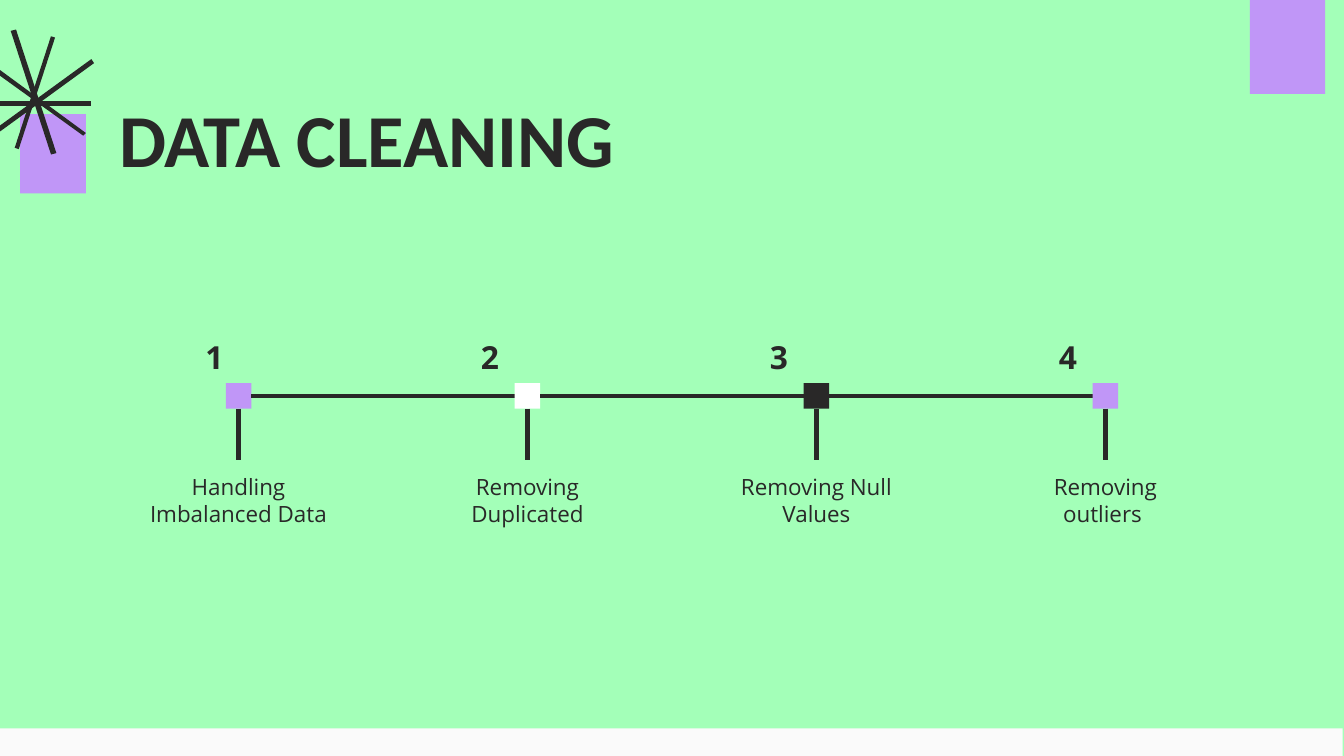
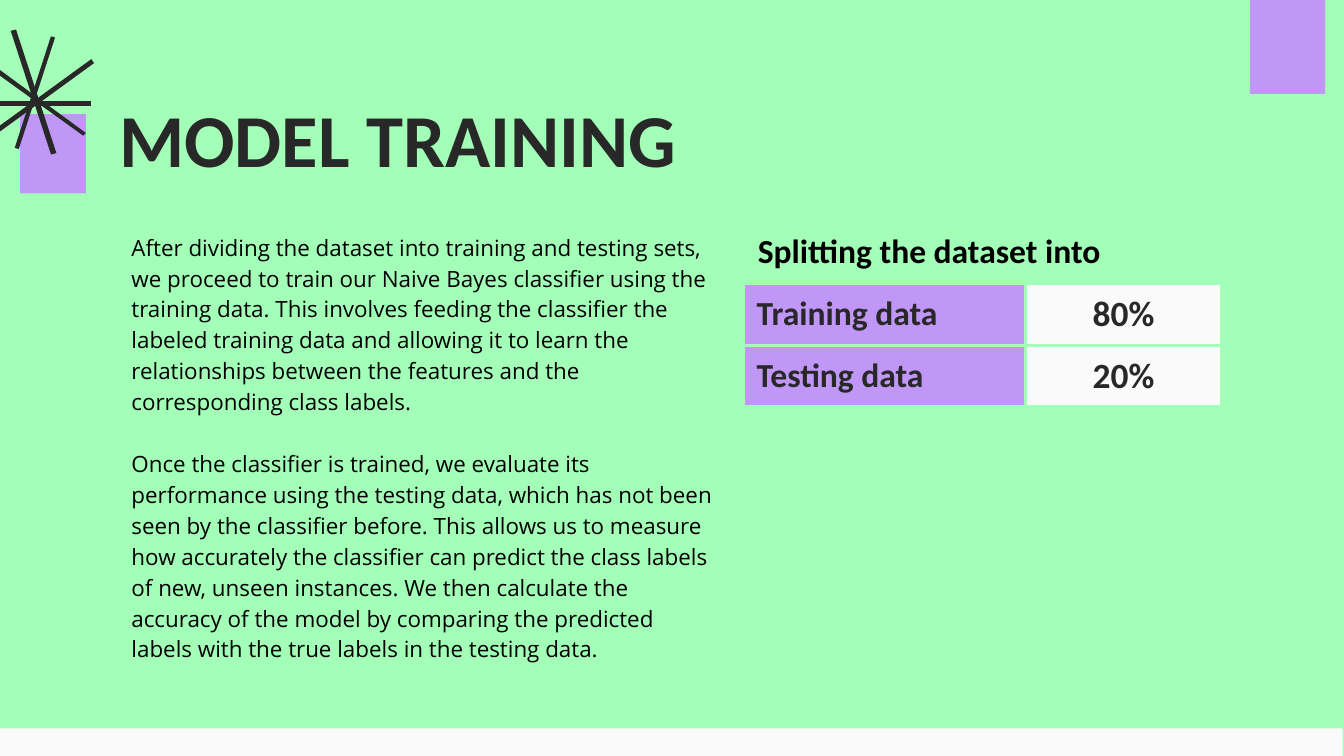
"""Build two slides: the data cleaning timeline and the model training split."""
from pptx import Presentation
from pptx.dml.color import RGBColor
from pptx.enum.shapes import MSO_CONNECTOR, MSO_SHAPE
from pptx.enum.text import MSO_ANCHOR, PP_ALIGN
from pptx.oxml.ns import qn
from pptx.util import Inches, Pt
from lxml.etree import SubElement

GREEN = RGBColor(0xA3, 0xFF, 0xB8)
PURPLE = RGBColor(0xC0, 0x96, 0xF7)
INK = RGBColor(0x29, 0x28, 0x28)
PAPER = RGBColor(0xFA, 0xFA, 0xFA)
WHITE = RGBColor(0xFF, 0xFF, 0xFF)
BLACK = RGBColor(0, 0, 0)
HEADING, BODY = "Calibri", "Open Sans"

WIDTH = 10
HEIGHT = WIDTH * 9 / 16
BAND = (-0.01, 5.42, WIDTH, 0.21)
BLOCKS = [(9.3, 0, 0.56, 0.7), (0.15, 0.85, 0.49, 0.59)]
STAR_UNIT = Inches(0.01)
STAR_RAYS = [
    [(38, 27), (11, 110), (14, 111), (41, 28)],
    [(-11, 44), (-13, 47), (62, 101), (64, 99)],
    [(68, 44), (-20, 108), (-18, 111), (70, 47)],
    [(12, 22), (8, 23), (38, 115), (42, 114)],
    [(-23, 75), (-23, 79), (68, 79), (68, 75)],
]

CLEANING_TITLE = "DATA CLEANING"
STEPS = [
    ("Handling Imbalanced Data", PURPLE),
    ("Removing Duplicated", WHITE),
    ("Removing Null Values", INK),
    ("Removing outliers ", PURPLE),
]
MARKER, STEP_LEFT, STEP_PITCH, STEP_TOP = 0.19, 1.68, 2.15, 2.85
LABEL_WIDTH, LABEL_TOP = 1.57, 3.42

TRAINING_TITLE = "MODEL TRAINING"
EXPLANATION = [
    "After dividing the dataset into training and testing sets, we proceed to train our "
    "Naive Bayes classifier using the training data. This involves feeding the classifier "
    "the labeled training data and allowing it to learn the relationships between the "
    "features and the corresponding class labels.",
    "Once the classifier is trained, we evaluate its performance using the testing data, "
    "which has not been seen by the classifier before. This allows us to measure how "
    "accurately the classifier can predict the class labels of new, unseen instances. We "
    "then calculate the accuracy of the model by comparing the predicted labels with the "
    "true labels in the testing data.",
]
SPLIT_HEADING = "Splitting the dataset into"
SPLIT = [("Training data", "80%"), ("Testing data", "20%")]
SPLIT_COLUMNS = [
    (2.1, PURPLE, 18, PP_ALIGN.LEFT, 0.1),
    (1.46, PAPER, 19, PP_ALIGN.CENTER, 0),
]
SPLIT_ROW = 0.46


def paint(shape, color):
    shape.shadow.inherit = False
    shape.fill.solid()
    shape.fill.fore_color.rgb = color
    shape.line.fill.background()


def add_block(slide, box, color):
    block = slide.shapes.add_shape(MSO_SHAPE.RECTANGLE, *map(Inches, box))
    paint(block, color)


def add_rule(slide, *ends):
    rule = slide.shapes.add_connector(MSO_CONNECTOR.STRAIGHT, *map(Inches, ends))
    rule.line.color.rgb = INK
    rule.line.width = Pt(2.25)
    SubElement(rule._element.spPr, qn("a:effectLst"))


def style(paragraph, font, size, color, bold, align=PP_ALIGN.LEFT):
    paragraph.alignment = align
    for run in paragraph.runs:
        run.font.name = font
        run.font.size = Pt(size)
        run.font.bold = bold
        run.font.color.rgb = color


def add_text(slide, box, text, font, size, color=INK, bold=False, align=PP_ALIGN.LEFT):
    frame = slide.shapes.add_textbox(*map(Inches, box)).text_frame
    frame.word_wrap = True
    frame.margin_left = frame.margin_right = Inches(0.1)
    frame.margin_top = frame.margin_bottom = Inches(0.1)
    frame.text = text
    for paragraph in frame.paragraphs:
        style(paragraph, font, size, color, bold, align)
    return frame


def add_slide(deck, title):
    slide = deck.slides.add_slide(deck.slide_layouts[6])
    slide.background.fill.solid()
    slide.background.fill.fore_color.rgb = GREEN
    add_block(slide, BAND, PAPER)
    for box in BLOCKS:
        add_block(slide, box, PURPLE)
    for first, *others in STAR_RAYS:
        outline = slide.shapes.build_freeform(*first, scale=STAR_UNIT)
        outline.add_line_segments(others, close=True)
        paint(outline.convert_to_shape(), INK)
    add_text(slide, (0.79, 0.59, 8.43, 0.63), title, HEADING, 40, bold=True)
    return slide


def add_timeline(slide):
    axis = STEP_TOP + MARKER / 2
    for index, (label, color) in enumerate(STEPS):
        left = STEP_LEFT + index * STEP_PITCH
        center = left + MARKER / 2
        add_block(slide, (left, STEP_TOP, MARKER, MARKER), color)
        add_rule(slide, center, STEP_TOP + MARKER, center, LABEL_TOP)
        if index < len(STEPS) - 1:
            add_rule(slide, left + MARKER, axis, left + STEP_PITCH, axis)
        number_left = left - (0.35 if index else 0.25)
        add_text(slide, (number_left, 2.41, 0.35, 0.44), str(index + 1), BODY, 17, bold=True)
        label_box = (center - LABEL_WIDTH / 2, LABEL_TOP, LABEL_WIDTH, 0.67)
        add_text(slide, label_box, label, BODY, 12, align=PP_ALIGN.CENTER)


def add_borders(cell):
    properties = cell._tc.get_or_add_tcPr()
    for index, side in enumerate(("a:lnL", "a:lnR", "a:lnT", "a:lnB")):
        border = properties.makeelement(qn(side), {"w": str(Pt(2.25))})
        fill = SubElement(border, qn("a:solidFill"))
        SubElement(fill, qn("a:srgbClr"), val=str(GREEN))
        properties.insert(index, border)


def add_split(slide):
    total = sum(column[0] for column in SPLIT_COLUMNS)
    box = (5.53, 2.11, total, SPLIT_ROW * len(SPLIT))
    table = slide.shapes.add_table(len(SPLIT), len(SPLIT_COLUMNS), *map(Inches, box)).table
    table.first_row = table.horz_banding = False
    for c, (width, color, size, align, margin) in enumerate(SPLIT_COLUMNS):
        table.columns[c].width = Inches(width)
        for r, row in enumerate(SPLIT):
            cell = table.cell(r, c)
            cell.fill.solid()
            cell.fill.fore_color.rgb = color
            cell.vertical_anchor = MSO_ANCHOR.MIDDLE
            cell.margin_left = cell.margin_right = Inches(margin)
            cell.margin_top = cell.margin_bottom = 0
            cell.text_frame.text = row[c]
            style(cell.text_frame.paragraphs[0], HEADING, size, INK, True, align)
            add_borders(cell)


def main():
    deck = Presentation()
    deck.slide_width, deck.slide_height = Inches(WIDTH), Inches(HEIGHT)

    add_timeline(add_slide(deck, CLEANING_TITLE))

    training = add_slide(deck, TRAINING_TITLE)
    add_split(training)
    add_text(training, (5.54, 1.61, 3.67, 0.5), SPLIT_HEADING, HEADING, 18, BLACK, True)
    explanation = add_text(training, (0.88, 1.61, 4.54, 3.42), "\n".join(EXPLANATION),
                           BODY, 12, BLACK)
    for index, paragraph in enumerate(explanation.paragraphs):
        paragraph.line_spacing = 1.15
        paragraph.space_before = Pt(16.6 if index else 0)

    deck.save("out.pptx")


if __name__ == "__main__":
    main()
